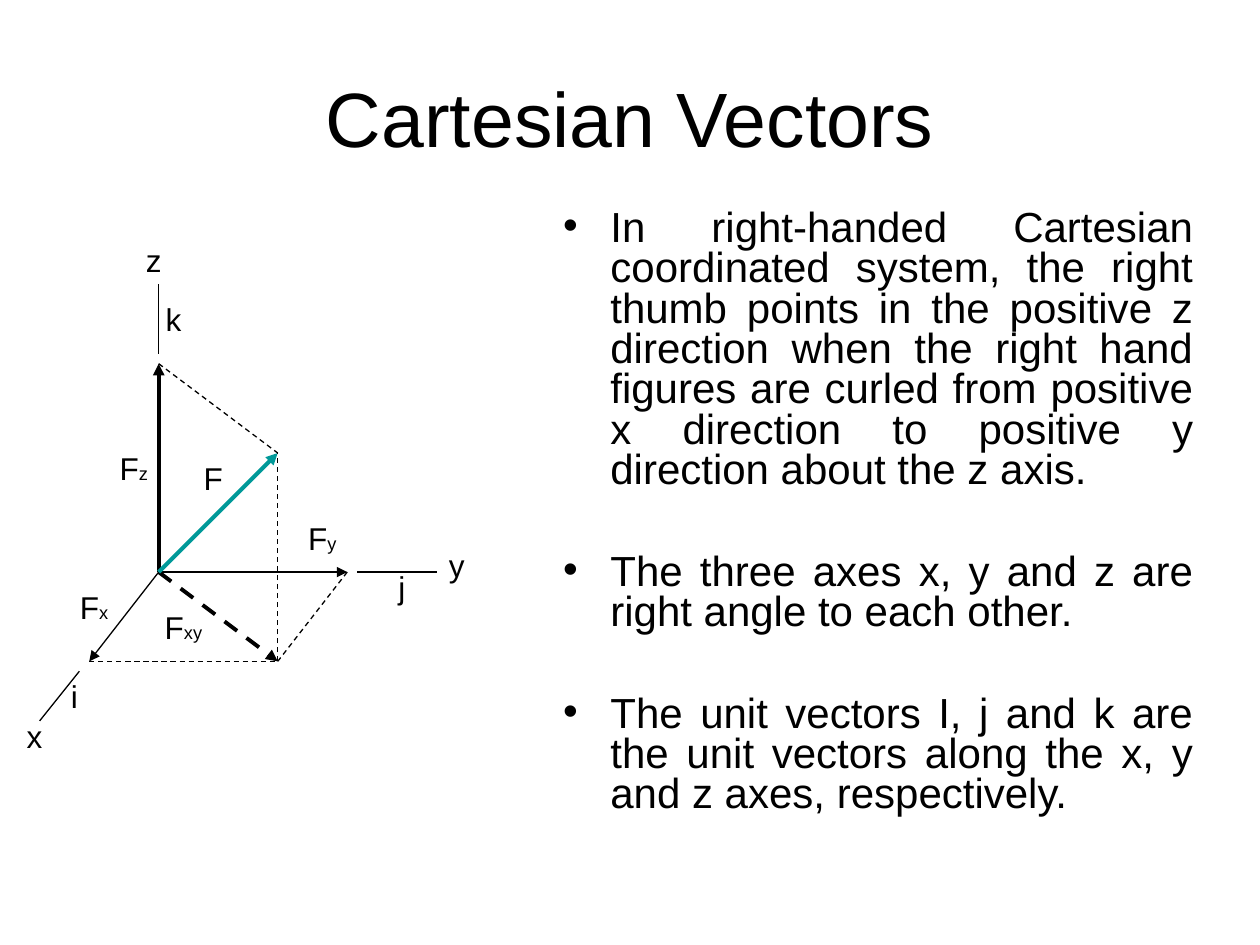
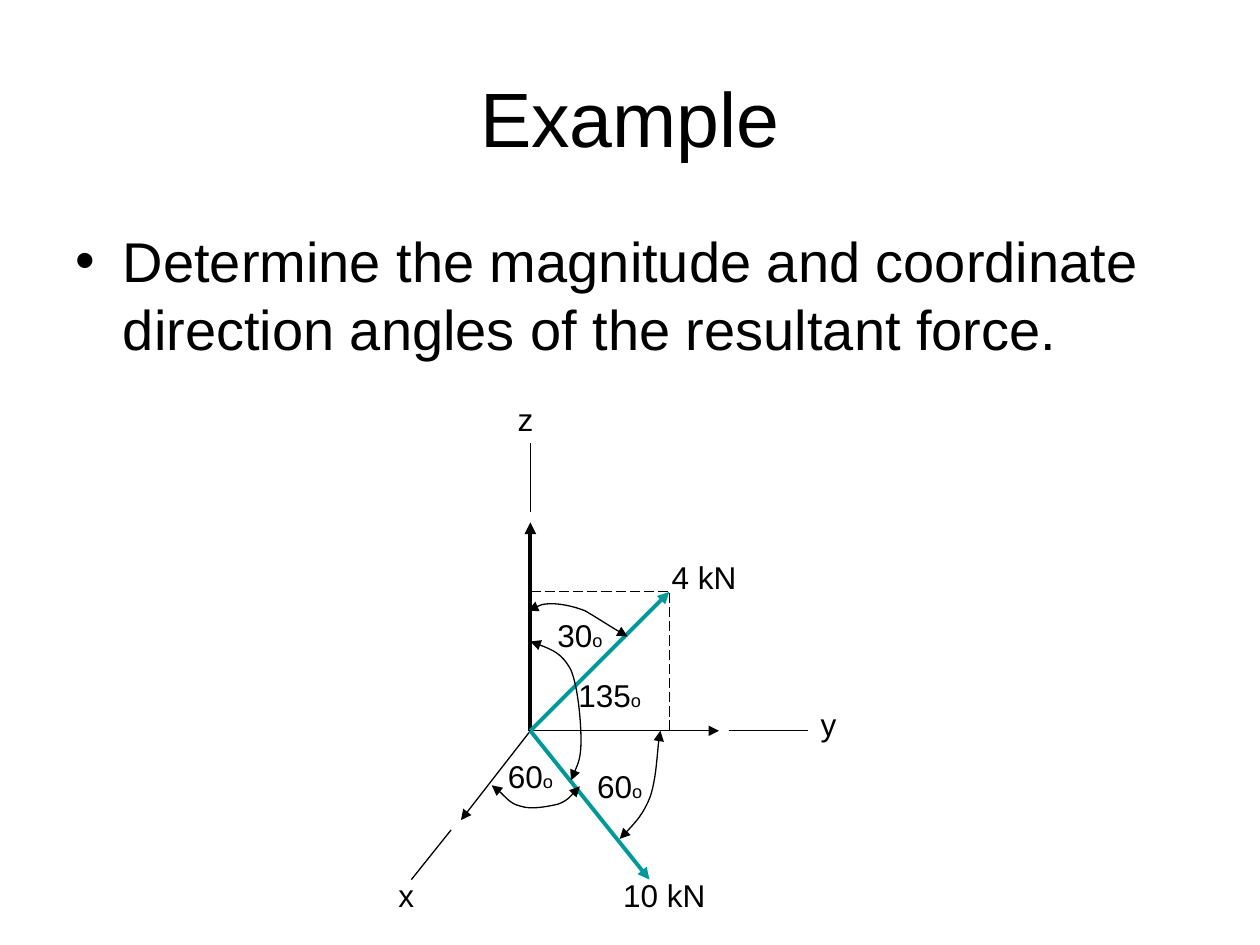
from lxml import etree
from pptx import Presentation
from pptx.dml.color import RGBColor
from pptx.enum.dml import MSO_LINE
from pptx.enum.shapes import MSO_CONNECTOR
from pptx.enum.text import MSO_ANCHOR, MSO_AUTO_SIZE, PP_ALIGN
from pptx.oxml.ns import qn
from pptx.util import Pt

BLACK = RGBColor(0x00, 0x00, 0x00)
TEAL = RGBColor(0x00, 0x99, 0x99)
FONT = "Arial"
LEFT, CENTER, JUSTIFY = PP_ALIGN.LEFT, PP_ALIGN.CENTER, PP_ALIGN.JUSTIFY
MIDDLE, TOP = MSO_ANCHOR.MIDDLE, MSO_ANCHOR.TOP
NO_AUTOFIT = MSO_AUTO_SIZE.NONE
STRAIGHT = MSO_CONNECTOR.STRAIGHT
DASH, LONG_DASH = MSO_LINE.DASH, MSO_LINE.LONG_DASH

GRID = 5.67  # points in one step of the drawing grid
THIN, THICK = 0.75, 2.25
LABEL_HEIGHT = 28.8
SUBSCRIPT, SUPERSCRIPT = -25, 30
BULLET_INDENT = 27
TITLE_FRAME = (36, 21.6, 648, 90)


class VectorDeck:
    """Builds slides; diagram coordinates are grid steps from the axes' origin."""

    def __init__(self):
        self.deck = Presentation()
        self.deck.slide_width, self.deck.slide_height = Pt(720), Pt(540)
        self.slide = None
        self.origin = (0, 0)

    def add_slide(self, title):
        self.slide = self.deck.slides.add_slide(self.deck.slide_layouts[1])
        self.fill_placeholder(0, TITLE_FRAME, [title], 44, CENTER, MIDDLE)

    def fill_placeholder(self, index, frame, texts, size, align, anchor):
        box = self.slide.placeholders[index]
        box.left, box.top, box.width, box.height = map(Pt, frame)
        text_frame = box.text_frame
        text_frame.auto_size = NO_AUTOFIT
        text_frame.vertical_anchor = anchor
        text_frame.text = "\n".join(texts)
        for para in text_frame.paragraphs:
            self.format_paragraph(para, size, align)
        return text_frame.paragraphs

    def format_paragraph(self, para, size, align):
        para.alignment = align
        para.font.name = FONT
        para.font.size = Pt(size)
        para.font.color.rgb = BLACK

    def add_list(self, frame, texts, size, align=LEFT, line_spacing=1.0, gap=8):
        paragraphs = self.fill_placeholder(1, frame, texts, size, align, TOP)
        for para in paragraphs:
            para.line_spacing = line_spacing
            para.space_before = Pt(gap)
            properties = para._p.get_or_add_pPr()
            properties.set("marL", str(Pt(BULLET_INDENT)))
            properties.set("indent", str(-Pt(BULLET_INDENT)))
            bullet = etree.SubElement(properties, qn("a:buChar"))
            bullet.set("char", "•")

    def locate(self, point):
        return tuple(Pt(start + GRID * step) for start, step in zip(self.origin, point))

    def style_line(self, line, color, width, ends=()):
        line.color.rgb = color
        line.width = Pt(width)
        for end in ends:
            arrowhead = etree.SubElement(line._get_or_add_ln(), qn(f"a:{end}"))
            arrowhead.set("type", "triangle")

    def add_line(self, start, end, color=BLACK, width=THIN, dash=None, arrow=False):
        connector = self.slide.shapes.add_connector(
            STRAIGHT, *self.locate(start), *self.locate(end))
        if dash is not None:
            connector.line.dash_style = dash
        self.style_line(connector.line, color, width, ["tailEnd"] if arrow else [])
        etree.SubElement(connector.element.spPr, qn("a:effectLst"))

    def add_arc(self, points):
        """Draw a double-headed Bézier curve: a start, then triples of points."""
        start, *rest = [self.locate(point) for point in points]
        builder = self.slide.shapes.build_freeform(*start)
        builder.add_line_segments(rest, close=False)
        arc = builder.convert_to_shape()
        segments = list(arc.element.iter(qn("a:lnTo")))
        for first in range(0, len(segments), 3):
            curve = etree.Element(qn("a:cubicBezTo"))
            segments[first].addprevious(curve)
            for segment in segments[first:first + 3]:
                curve.append(segment[0])
                segment.getparent().remove(segment)
        arc.fill.background()
        arc.shadow.inherit = False
        self.style_line(arc.line, BLACK, THIN, ["headEnd", "tailEnd"])

    def add_label(self, point, text, script="", baseline=SUBSCRIPT, steps=7, align=CENTER):
        box = self.slide.shapes.add_textbox(
            *self.locate(point), Pt(steps * GRID), Pt(LABEL_HEIGHT))
        box.text_frame.word_wrap = True
        para = box.text_frame.paragraphs[0]
        self.format_paragraph(para, 18, align)
        para.add_run().text = text
        if script:
            span = para.add_run()
            span.text = script
            span._r.get_or_add_rPr().set("baseline", str(baseline))

    def add_axes(self, origin):
        self.origin = origin
        self.add_line((0, -22), (0, -29))
        self.add_line((-8, 10), (-12, 15))
        self.add_line((20, 0), (28, 0))
        self.add_line((0, 0), (-7, 9), arrow=True)
        self.add_line((0, 0), (19, 0), arrow=True)
        self.add_line((0, 0), (0, -21), width=THICK, arrow=True)
        self.add_label((-4, -34), "z")
        self.add_label((-16, 14), "x")
        self.add_label((28, -3.2), "y", align=LEFT)


def build_cartesian_vectors(deck):
    deck.add_slide("Cartesian Vectors")
    deck.add_list((314.6, 116.6, 374.4, 384.5), [
        "In right-handed Cartesian coordinated system, the right thumb points in the "
        "positive z direction when the right hand figures are curled from positive x "
        "direction to positive y direction about the z axis.",
        "The three axes x, y and z are right angle to each other.",
        "The unit vectors I, j and k are the unit vectors along the x, y and z axes, "
        "respectively.",
    ], 24, JUSTIFY, line_spacing=0.8, gap=35)

    deck.add_axes((90.7, 326.9))
    force, projection = (12, -12), (12, 9)
    deck.add_line((0, 0), projection, width=THICK, dash=DASH, arrow=True)
    deck.add_line((0, 0), force, TEAL, THICK, arrow=True)
    for start, end in [
        (projection, force), ((-7, 9), projection),
        ((19, 0), projection), ((0, -21), force),
    ]:
        deck.add_line(start, end, dash=DASH)
    for point, text, script in [
        ((-6, -13), "F", "z"), ((13, -6), "F", "y"), ((-10, 1), "F", "x"),
        ((2, -12), "F", ""), ((-1, 3), "F", "xy"),
        ((-2, -28), "k", ""), ((21, -1), "j", ""), ((-12, 10), "i", ""),
    ]:
        deck.add_label(point, text, script)


def build_example(deck):
    deck.add_slide("Example")
    deck.add_list((36, 126, 648, 132.5), [
        "Determine the magnitude and coordinate direction angles of the resultant force.",
    ], 32)

    deck.add_axes((303.1, 417.6))
    upper_force, lower_force = (14, -14), (12, 15)
    for force in (lower_force, upper_force):
        deck.add_line((0, 0), force, TEAL, THICK, arrow=True)
    for foot in ((0, -14), (14, 0)):
        deck.add_line(foot, upper_force, dash=LONG_DASH)
    for arc in [
        [(-0.25, -12.1), (0.4, -12.4), (1.1, -12.8), (2.2, -12.8), (3, -12.8),
         (4.2, -12.6), (5.5, -12.1), (6.7, -11.4), (8.2, -10.4), (9.8, -9.5)],
        [(-3.9, 5.5), (-3.4, 5.7), (-2, 7.4), (-1, 7.6), (0.1, 8),
         (1.9, 7.6), (2.8, 7.4), (3.8, 7), (4.6, 6), (5, 5.6)],
        [(9, 10.9), (10.2, 9.7), (11.4, 8.4), (12.1, 6.6),
         (12.7, 4.7), (12.8, 1.4), (13.1, 0)],
        [(0, -9), (1.7, -8.4), (3.2, -7.8), (4.1, -6.1), (4.8, -4.4),
         (5.1, -0.9), (5.1, 0.9), (5.1, 2.8), (4.6, 3.8), (4.1, 5)],
    ]:
        deck.add_arc(arc)
    for point, angle in [
        ((0, -12.2), "30"), ((-5, 2), "60"), ((3, -6.1), "135"), ((4, 3), "60"),
    ]:
        deck.add_label(point, angle, "o", SUPERSCRIPT, steps=10)
    deck.add_label((12, -18), "4 kN", steps=11)
    deck.add_label((8, 14), "10 kN", steps=11)


def main():
    deck = VectorDeck()
    build_cartesian_vectors(deck)
    build_example(deck)
    deck.deck.save("out.pptx")


if __name__ == "__main__":
    main()
